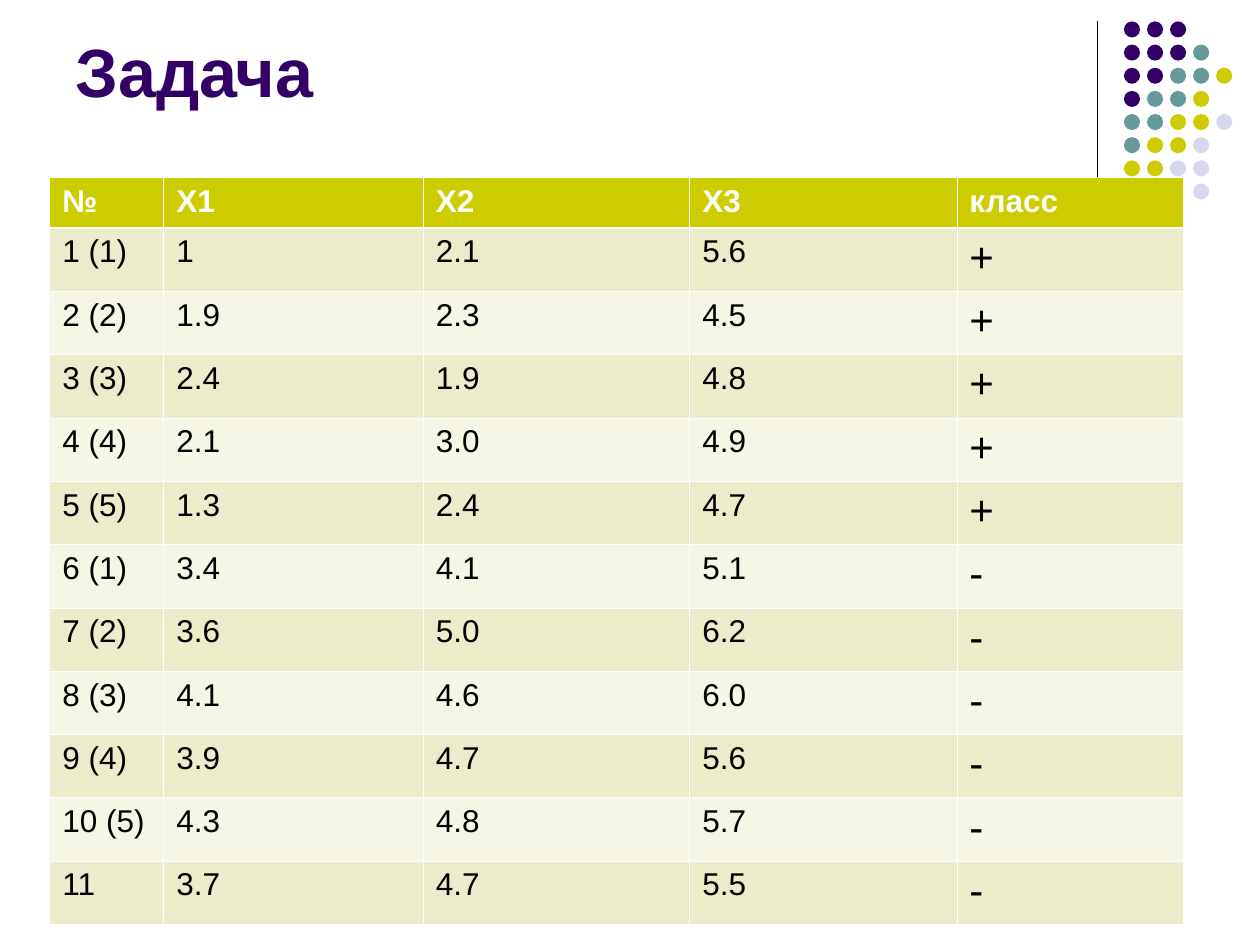
from dataclasses import dataclass

from lxml.etree import SubElement as Sub
from pptx import Presentation
from pptx.dml.color import RGBColor
from pptx.enum.shapes import MSO_CONNECTOR as Link, MSO_SHAPE as Form
from pptx.enum.text import MSO_ANCHOR as Anchor
from pptx.oxml.ns import qn
from pptx.util import Inches, Pt

WIDTH, HEIGHT = Inches(10), Inches(7.5)
FONT = "Arial"
PLUM, TEAL, LIME, MIST = "330066", "669999", "CCCC00", "D8D8EC"
WHITE, BLACK = "FFFFFF", "000000"
BANDS = ("ECECCB", "F6F6E7")
THIN, THICK = 0.45, 1.47

# One letter per dot, a point for a gap
DOTS = ("PPP..", "PPPT.", "PPTTL", "PTTL.", "TTLLM", "TLLM.", "LLMM.", ".M.M.")
TINTS = {"P": PLUM, "T": TEAL, "L": LIME, "M": MIST}

HEAD = ("№", "Х1", "Х2", "Х3", "класс")
ROWS = (
    ("1 (1)", "1", "2.1", "5.6", "+"),
    ("2 (2)", "1.9", "2.3", "4.5", "+"),
    ("3 (3)", "2.4", "1.9", "4.8", "+"),
    ("4 (4)", "2.1", "3.0", "4.9", "+"),
    ("5 (5)", "1.3", "2.4", "4.7", "+"),
    ("6 (1)", "3.4", "4.1", "5.1", "-"),
    ("7 (2)", "3.6", "5.0", "6.2", "-"),
    ("8 (3)", "4.1", "4.6", "6.0", "-"),
    ("9 (4)", "3.9", "4.7", "5.6", "-"),
    ("10 (5)", "4.3", "4.8", "5.7", "-"),
    ("11", "3.7", "4.7", "5.5", "-"),
)
COLS = (9.05, 20.6, 21.15, 21.2, 18)  # percent of the slide width
HEAD_HIGH, ROW_HIGH = 5.3, 6.7  # percent of the slide height


@dataclass
class Box:
    """A frame in percent of the slide's width and height."""
    left: float
    top: float
    width: float
    height: float

    def emu(self) -> tuple:
        return wide(self.left), high(self.top), wide(self.width), high(self.height)


@dataclass
class Style:
    size: float
    color: str
    bold: bool = False


def wide(share: float) -> int:
    return round(WIDTH * share / 100)


def high(share: float) -> int:
    return round(HEIGHT * share / 100)


def paint(tone, color: str) -> None:
    """Set a colour on a fill or a font."""
    if hasattr(tone, "solid"):
        tone.solid()
        tone.fore_color.rgb = RGBColor.from_string(color)
    else:
        tone.color.rgb = RGBColor.from_string(color)


def write(frame, text: str, style: Style) -> None:
    frame.text = text
    for run in frame.paragraphs[0].runs:
        font = run.font
        font.name, font.size, font.bold = FONT, Pt(style.size), style.bold
        paint(font, style.color)


def add_rule(slide, x: float, top: float, end: float) -> None:
    rule = slide.shapes.add_connector(
        Link.STRAIGHT, wide(x), high(top), wide(x), high(end))
    rule.line.width = Pt(0.75)
    paint(rule.line.fill, BLACK)
    Sub(rule._element.spPr, qn("a:effectLst"))


def add_dot(slide, box: Box, color: str) -> None:
    dot = slide.shapes.add_shape(Form.OVAL, *box.emu())
    dot.shadow.inherit = False
    paint(dot.fill, color)
    dot.line.fill.background()


def add_title(slide, box: Box, text: str) -> None:
    frame = slide.shapes.add_textbox(*box.emu()).text_frame
    frame.word_wrap = True
    frame.vertical_anchor = Anchor.BOTTOM
    write(frame, text, Style(39, PLUM, True))


def edge(cell, top: float, base: float) -> None:
    """Draw white borders round a cell."""
    props = cell._tc.get_or_add_tcPr()
    for side, size in (("L", THIN), ("R", THIN), ("T", top), ("B", base)):
        line = Sub(props, qn(f"a:ln{side}"), w=str(Pt(size)))
        fill = Sub(line, qn("a:solidFill"))
        Sub(fill, qn("a:srgbClr"), val=WHITE)


def add_grid(slide, box: Box) -> None:
    table = slide.shapes.add_table(len(ROWS) + 1, len(COLS), *box.emu()).table
    for col, share in zip(table.columns, COLS):
        col.width = wide(share)
    for r, texts in enumerate((HEAD, *ROWS)):
        table.rows[r].height = high(ROW_HIGH if r else HEAD_HIGH)
        for c, text in enumerate(texts):
            cell = table.cell(r, c)
            mark = r > 0 and c == len(COLS) - 1
            style = Style(24 if mark else 18, BLACK) if r else Style(18, WHITE, True)
            write(cell.text_frame, text, style)
            edge(cell, THICK if r == 1 else THIN, THIN if r else THICK)
            paint(cell.fill, BANDS[(r - 1) % 2] if r else LIME)


def main() -> None:
    deck = Presentation()
    deck.slide_width, deck.slide_height = WIDTH, HEIGHT
    slide = deck.slides.add_slide(deck.slide_layouts[6])
    paint(slide.background.fill, WHITE)

    # Corner ornament
    add_rule(slide, 87.1, 2.27, 24.4)
    for r, line in enumerate(DOTS):
        for c, key in enumerate(line):
            if key in TINTS:
                box = Box(89.2 + 1.83 * c, 2.27 + 2.45 * r, 1.28, 1.7)
                add_dot(slide, box, TINTS[key])

    # Heading and data
    add_title(slide, Box(5, 1.73, 82.5, 10.67), "Задача")
    add_grid(slide, Box(3.95, 18.8, sum(COLS), HEAD_HIGH + ROW_HIGH * len(ROWS)))
    deck.save("out.pptx")


if __name__ == "__main__":
    main()
